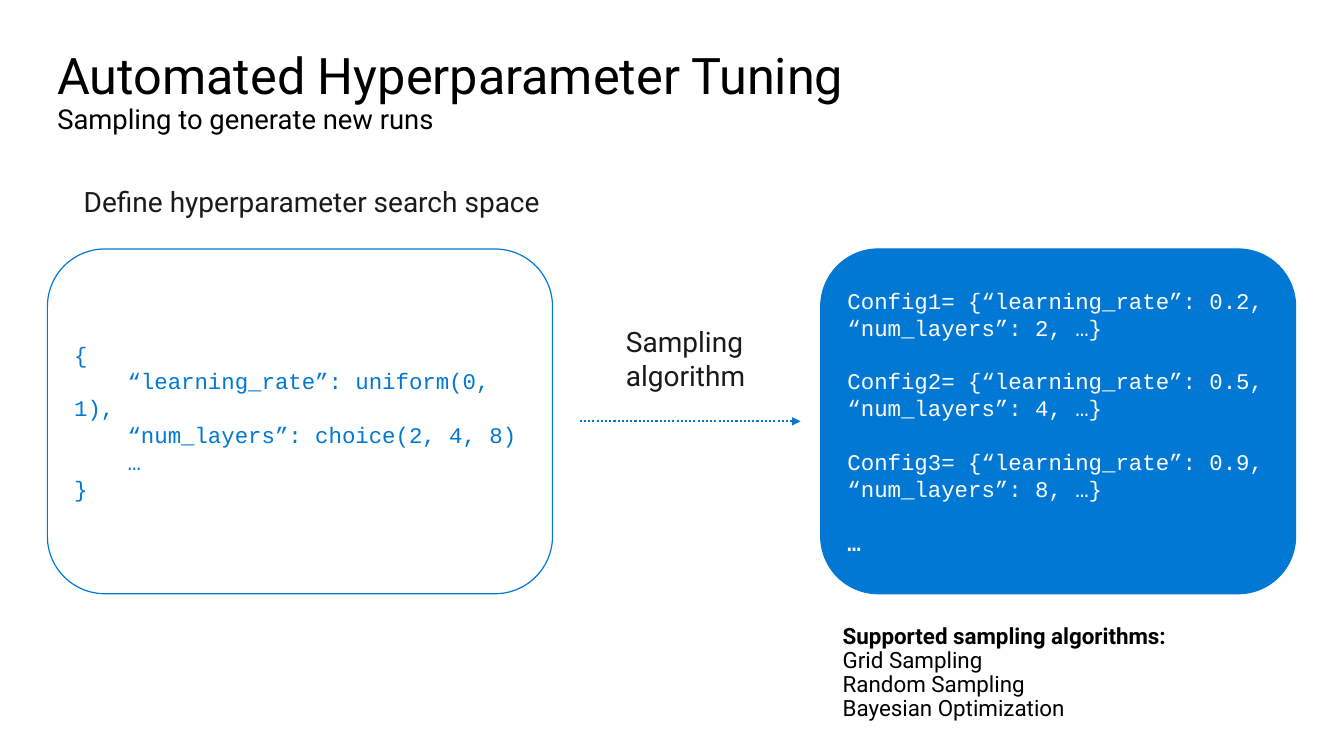
from lxml.etree import SubElement
from pptx import Presentation
from pptx.dml.color import RGBColor
from pptx.enum.dml import MSO_LINE
from pptx.enum.shapes import MSO_CONNECTOR, MSO_SHAPE
from pptx.enum.text import MSO_ANCHOR, PP_ALIGN
from pptx.oxml.ns import qn
from pptx.util import Inches, Pt

BLUE, WHITE, BLACK, INK = "0078D4", "FFFFFF", "000000", "1A1A1A"
BODY_FONT, CODE_FONT = "Roboto", "Courier New"
CODE_INDENT = Inches(0.53)
CODE_GAP = Pt(19.2)


def color(value):
    """Turn a hex string into a colour."""
    return RGBColor.from_string(value)


def style_font(font, name, size, value):
    """Set the typeface, size and colour of a font."""
    font.name = name
    font.size = Pt(size)
    font.color.rgb = color(value)


def add_text_box(slide, left, top, width, height, margins):
    """Add a wrapping text box with left, top, right and bottom margins."""
    frame = slide.shapes.add_textbox(
        Inches(left), Inches(top), Inches(width), Inches(height)).text_frame
    frame.word_wrap = True
    (frame.margin_left, frame.margin_top,
     frame.margin_right, frame.margin_bottom) = map(Inches, margins)
    return frame


def write_lines(frame, lines, name, size, value, spacing=1.0):
    """Write one paragraph per line and return the paragraphs."""
    frame.text = "\n".join(lines)
    for paragraph in frame.paragraphs:
        paragraph.alignment = PP_ALIGN.LEFT
        paragraph.line_spacing = spacing
        style_font(paragraph.font, name, size, value)
    return frame.paragraphs


def add_heading(slide, left, top, width, height):
    """Add the slide title with its subtitle on a second line."""
    frame = add_text_box(slide, left, top, width, height, (0.1, 0.18, 0, 0))
    paragraph = frame.paragraphs[0]
    paragraph.line_spacing = 0.9
    title = paragraph.add_run()
    title.text = "Automated Hyperparameter Tuning"
    style_font(title.font, BODY_FONT, 36, BLACK)
    paragraph.add_line_break()
    subtitle = paragraph.add_run()
    subtitle.text = "Sampling to generate new runs"
    style_font(subtitle.font, BODY_FONT, 19.6, BLACK)


def add_code_panel(slide, left, top, width, height, lines, fill, text_color):
    """Add a rounded panel of code and return its paragraphs."""
    panel = slide.shapes.add_shape(
        MSO_SHAPE.ROUNDED_RECTANGLE,
        Inches(left), Inches(top), Inches(width), Inches(height))
    panel.shadow.inherit = False
    panel.fill.solid()
    panel.fill.fore_color.rgb = color(fill)
    panel.line.color.rgb = color(BLUE)
    panel.line.width = Pt(0.85)
    frame = panel.text_frame
    frame.word_wrap = True
    frame.vertical_anchor = MSO_ANCHOR.MIDDLE
    return write_lines(frame, lines, CODE_FONT, 16, text_color)


def add_search_space(slide, left, top, width, height):
    """Add the search space definition under its caption."""
    caption = add_text_box(slide, left + 0.36, top - 0.64, width - 0.36, 0.34, (0, 0, 0, 0))
    write_lines(caption, ["Define hyperparameter search space"], BODY_FONT, 20, INK)
    lines = ["{", "“learning_rate”: uniform(0, 1),",
             "“num_layers”: choice(2, 4, 8)", "…", "}"]
    paragraphs = add_code_panel(slide, left, top, width, height, lines, WHITE, BLUE)
    for paragraph in paragraphs[1:-1]:
        properties = paragraph._p.get_or_add_pPr()
        properties.set("marL", "0")
        properties.set("indent", str(CODE_INDENT))


def add_sampled_configs(slide, left, top, width, height):
    """Add the sampled configurations and the list of algorithms below."""
    samples = [(0.2, 2), (0.5, 4), (0.9, 8)]
    lines = [f"Config{number}= {{“learning_rate”: {rate}, “num_layers”: {layers}, …}}"
             for number, (rate, layers) in enumerate(samples, 1)]
    paragraphs = add_code_panel(slide, left, top, width, height, lines + ["…"], BLUE, WHITE)
    for paragraph in paragraphs[1:]:
        paragraph.space_before = CODE_GAP
    paragraphs[-1].font.bold = True

    frame = add_text_box(slide, left + 0.12, top + height + 0.31, 3.99, 0.97, (0.1, 0, 0, 0))
    algorithms = ["Supported sampling algorithms:", "Grid Sampling",
                  "Random Sampling", "Bayesian Optimization"]
    write_lines(frame, algorithms, BODY_FONT, 16, BLACK, 0.9)[0].font.bold = True


def add_sampling_step(slide, left, middle, width):
    """Add the dotted arrow with its label above."""
    label = add_text_box(slide, left + 0.36, middle - 1.01, 1.64, 0.77, (0.1, 0.05, 0.1, 0.05))
    write_lines(label, ["Sampling", "algorithm"], BODY_FONT, 20, INK)
    arrow = slide.shapes.add_connector(
        MSO_CONNECTOR.STRAIGHT, Inches(left), Inches(middle),
        Inches(left + width), Inches(middle))
    arrow.line.color.rgb = color(BLUE)
    arrow.line.width = Pt(1.5)
    arrow.line.dash_style = MSO_LINE.ROUND_DOT
    SubElement(arrow.line._get_or_add_ln(), qn("a:tailEnd"), type="triangle")
    SubElement(arrow._element.spPr, qn("a:effectLst"))


def main():
    """Build the slide and save it."""
    presentation = Presentation()
    presentation.slide_width = Inches(13.33)
    presentation.slide_height = Inches(7.5)
    slide = presentation.slides.add_slide(presentation.slide_layouts[6])
    add_heading(slide, 0.47, 0.33, 12.4, 0.83)
    add_search_space(slide, 0.47, 2.47, 5.01, 3.42)
    add_sampling_step(slide, 5.75, 4.18, 2.19)
    add_sampled_configs(slide, 8.14, 2.47, 4.71, 3.42)
    presentation.save("out.pptx")


if __name__ == "__main__":
    main()
